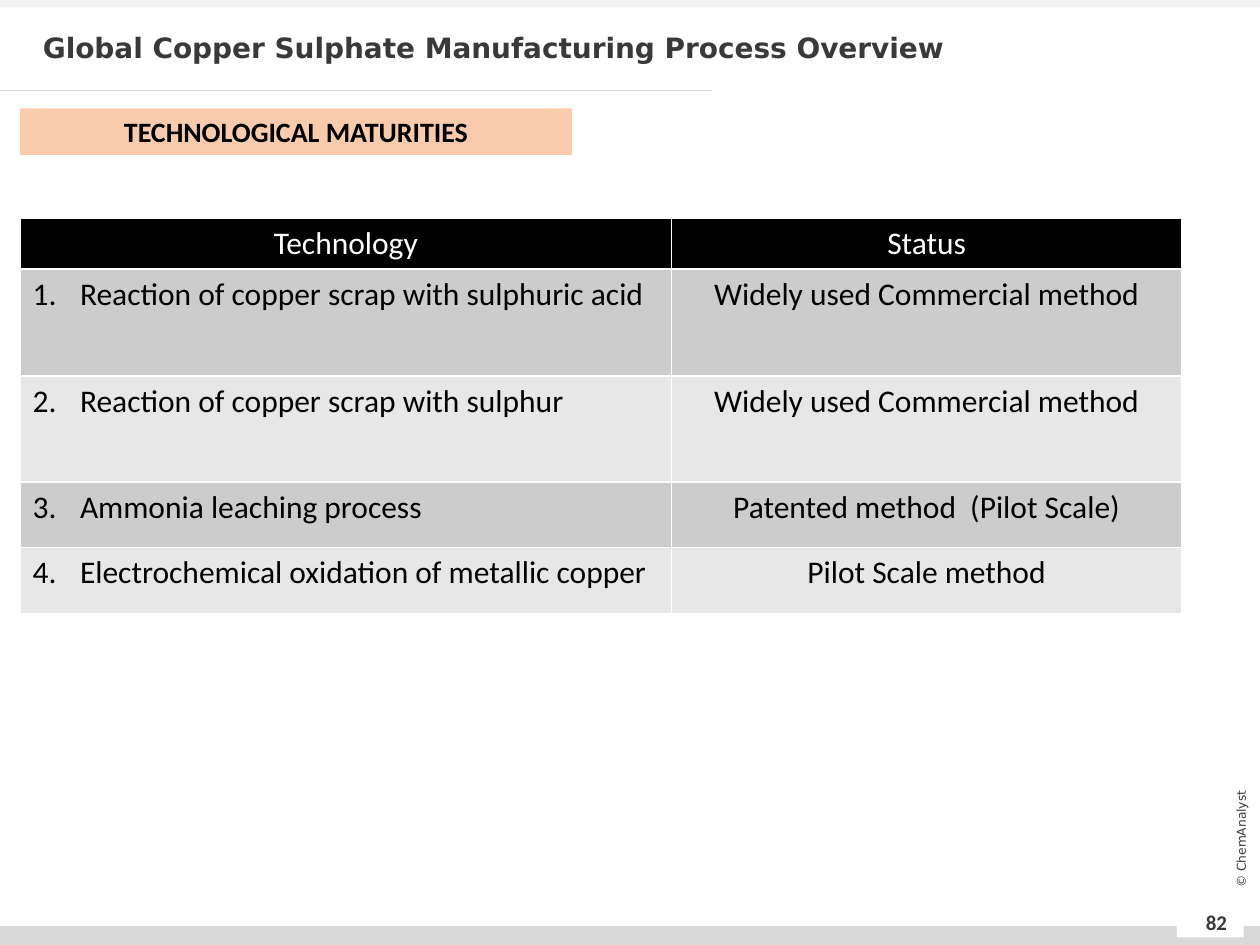
import pptx
import pptx.util
import pptx.dml.color
import pptx.enum.shapes
import pptx.enum.text
import pptx.oxml.ns
import lxml.etree

HUES = {"ink": "3B3838", "black": "000000", "white": "FFFFFF", "peach": "F8CBAD",
        "rule": "D9D9D9", "pale": "F2F2F2", "dark": "CCCCCC", "light": "E7E7E7"}
COLS, ROWS = 100, 75
ALIGN = pptx.enum.text.PP_ALIGN
ANCHOR = pptx.enum.text.MSO_ANCHOR
qn = pptx.oxml.ns.qn


def hue(name):
    return pptx.dml.color.RGBColor.from_string(HUES[name])


class Deck:
    body = "Calibri"
    head = "DejaVu Sans"

    def __init__(self):
        self.file = pptx.Presentation()
        self.file.slide_width = pptx.util.Inches(10)
        self.file.slide_height = pptx.util.Inches(7.5)
        self.slide = self.file.slides.add_slide(self.file.slide_layouts[5])
        self.shapes = self.slide.shapes

    def x(self, col):
        return round(self.file.slide_width * col / COLS)

    def y(self, row):
        return round(self.file.slide_height * row / ROWS)

    def box(self, left, top, wide, high):
        return self.x(left), self.y(top), self.x(wide), self.y(high)

    def text(self, frame, words, size, color, bold=False, face=None,
             align=ALIGN.CENTER, number=None):
        para = frame.paragraphs[0]
        para.text = words
        para.alignment = align
        if number:
            props = para._p.get_or_add_pPr()
            props.set("marL", str(self.x(3.75)))
            props.set("indent", str(-self.x(3.75)))
            lxml.etree.SubElement(props, qn("a:buFont"), typeface="+mj-lt")
            lxml.etree.SubElement(props, qn("a:buAutoNum"),
                                  type="arabicPeriod", startAt=str(number))
        font = para.font
        font.name = face or self.body
        font.size = pptx.util.Pt(size)
        font.bold = bold
        font.color.rgb = hue(color)
        return para

    def title(self, words, *area):
        shape = self.shapes.title
        shape.left, shape.top, shape.width, shape.height = self.box(*area)
        frame = shape.text_frame
        frame.word_wrap = True
        frame.vertical_anchor = ANCHOR.MIDDLE
        frame.auto_size = pptx.enum.text.MSO_AUTO_SIZE.NONE
        para = self.text(frame, words, 16, "ink", True, self.head, ALIGN.LEFT)
        para.line_spacing = 0.9

    def rect(self, color, *area):
        shape = self.shapes.add_shape(
            pptx.enum.shapes.MSO_SHAPE.RECTANGLE, *self.box(*area))
        shape.shadow.inherit = False
        shape.fill.solid()
        shape.fill.fore_color.rgb = hue(color)
        shape.line.fill.background()
        return shape

    def label(self, words, color, *area):
        frame = self.rect(color, *area).text_frame
        frame.word_wrap = True
        frame.vertical_anchor = ANCHOR.TOP
        self.text(frame, words, 16, "black", True)

    def note(self, words, size, area, bold=False, face=None, turn=0):
        shape = self.shapes.add_textbox(*self.box(*area))
        shape.rotation = turn
        frame = shape.text_frame
        frame.word_wrap = True
        frame.vertical_anchor = ANCHOR.MIDDLE
        frame.margin_left = frame.margin_right = 0
        frame.margin_top = frame.margin_bottom = 0
        self.text(frame, words, size, "ink", bold, face)

    def line(self, color, left, top, right, end):
        line = self.shapes.add_connector(
            pptx.enum.shapes.MSO_CONNECTOR.STRAIGHT,
            self.x(left), self.y(top), self.x(right), self.y(end))
        line.line.color.rgb = hue(color)
        line.line.width = pptx.util.Pt(0.5)
        lxml.etree.SubElement(line._element.spPr, qn("a:effectLst"))

    def edge(self, cell):
        props = cell._tc.get_or_add_tcPr()
        for spot, side in enumerate(("lnL", "lnR", "lnT", "lnB")):
            line = lxml.etree.Element(qn("a:" + side), w=str(pptx.util.Pt(1)))
            fill = lxml.etree.SubElement(line, qn("a:solidFill"))
            lxml.etree.SubElement(fill, qn("a:srgbClr"), val=HUES["white"])
            props.insert(spot, line)

    def table(self, left, top, wides, highs, data):
        area = self.box(left, top, sum(wides), sum(highs))
        table = self.shapes.add_table(len(highs), len(wides), *area).table
        for col, wide in zip(table.columns, wides):
            col.width = self.x(wide)
        for row, high in zip(table.rows, highs):
            row.height = self.y(high)
        for r, line in enumerate(data):
            back = ("light", "dark")[r % 2] if r else "black"
            for c, words in enumerate(line):
                cell = table.cell(r, c)
                cell.fill.solid()
                cell.fill.fore_color.rgb = hue(back)
                self.edge(cell)
                listed = r > 0 and c == 0
                self.text(cell.text_frame, words, 18, "black" if r else "white",
                          align=ALIGN.LEFT if listed else ALIGN.CENTER,
                          number=r if listed else None)


def main():
    deck = Deck()
    deck.rect("rule", 0, 73.5, 100, 1.5)
    deck.rect("pale", 0, 0, 100, 0.6)
    deck.rect("white", 93.4, 72.2, 5.3, 2.2)
    deck.line("rule", 0, 7.2, 56.5, 7.2)
    deck.note("82", 12, (94.1, 71.2, 4.9, 4), bold=True)
    deck.note("© ChemAnalyst", 7, (92.5, 65.8, 12, 1.6), face=deck.head, turn=270)
    deck.label("TECHNOLOGICAL MATURITIES", "peach", 1.6, 8.6, 43.8, 3.7)
    deck.table(1.6, 17.3, (51.7, 40.5), (4.05, 8.5, 8.4, 5.2, 5.3), (
        ("Technology", "Status"),
        ("Reaction of copper scrap with sulphuric acid", "Widely used Commercial method"),
        ("Reaction of copper scrap with sulphur", "Widely used Commercial method"),
        ("Ammonia leaching process", "Patented method  (Pilot Scale)"),
        ("Electrochemical oxidation of metallic copper", "Pilot Scale method")))
    deck.title("Global Copper Sulphate Manufacturing Process Overview", 2.4, 2.2, 88.7, 3.4)
    deck.file.save("out.pptx")


if __name__ == "__main__":
    main()
